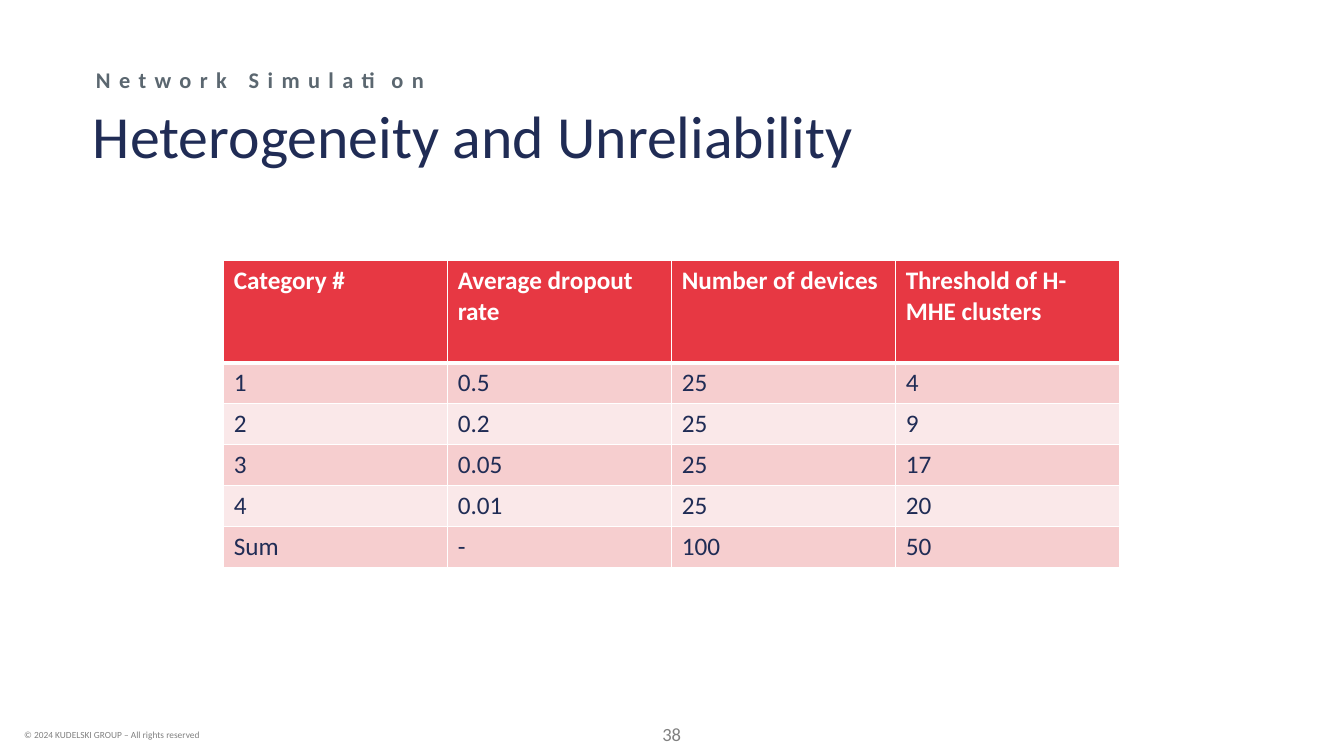
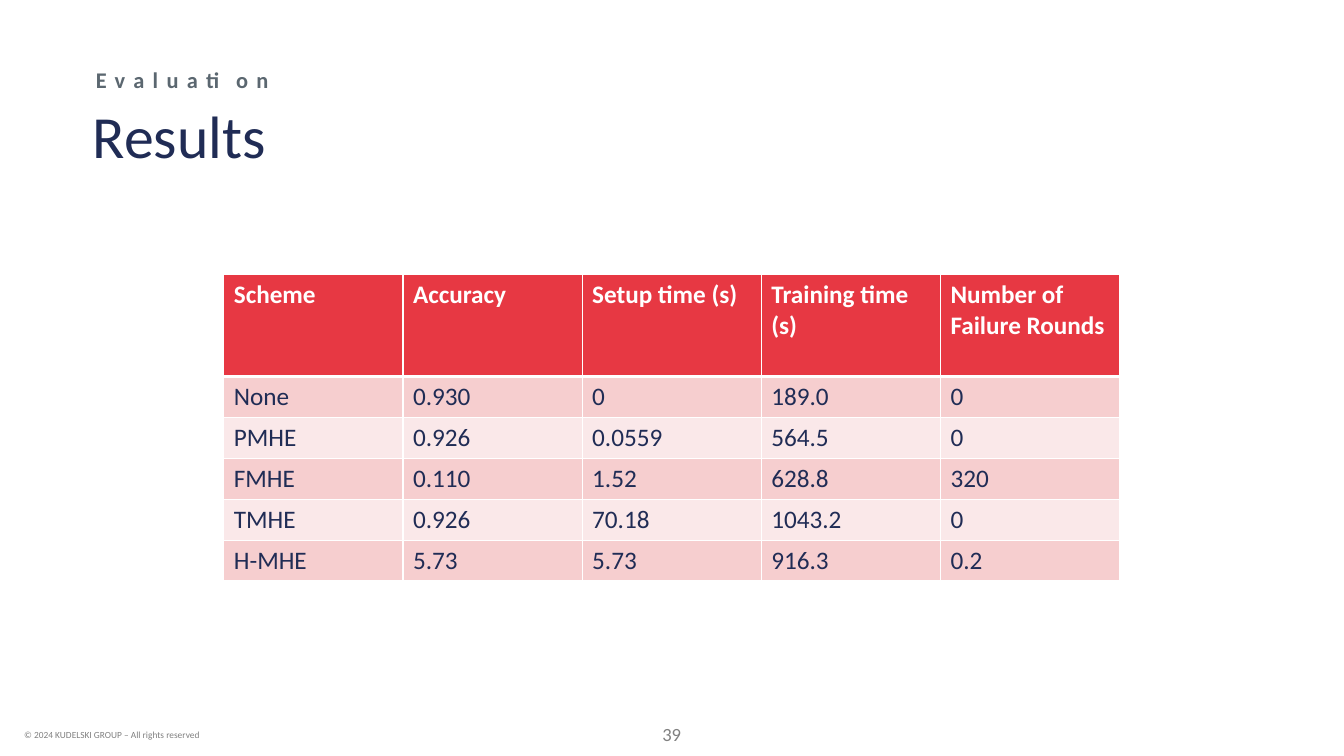
from lxml import etree
from pptx import Presentation
from pptx.dml.color import RGBColor
from pptx.enum import text
from pptx.oxml import ns
from pptx.util import Cm, Pt

# Shared style
FONT = "Calibri"
NAVY = RGBColor(0x20, 0x2C, 0x55)
SLATE = RGBColor(0x5B, 0x67, 0x70)
GREY = RGBColor(0x80, 0x80, 0x80)
WHITE = RGBColor(0xFF, 0xFF, 0xFF)
RED = RGBColor(0xE7, 0x38, 0x43)
BANDS = (RGBColor(0xF6, 0xCE, 0xCF), RGBColor(0xFA, 0xE8, 0xE9))

# Table layout
TABLE_LEFT, TABLE_WIDTH = Cm(5.64), Cm(22.58)
HEADER_HEIGHT, ROW_HEIGHT = Cm(2.57), Cm(1.03)
THIN, THICK = Pt(1), Pt(3)

FIRST_PAGE = 38
COPYRIGHT = "© 2024 KUDELSKI GROUP – All rights reserved"

# Section, title, table top in cm, table rows
PAGES = [
    ("Network Simulation", "Heterogeneity and Unreliability", 6.57, [
        ("Category #", "Average dropout rate", "Number of devices",
         "Threshold of H-MHE clusters"),
        ("1", "0.5", "25", "4"),
        ("2", "0.2", "25", "9"),
        ("3", "0.05", "25", "17"),
        ("4", "0.01", "25", "20"),
        ("Sum", "-", "100", "50"),
    ]),
    ("Evaluation", "Results", 6.92, [
        ("Scheme", "Accuracy", "Setup time (s)", "Training time (s)",
         "Number of Failure Rounds"),
        ("None", "0.930", "0", "189.0", "0"),
        ("PMHE", "0.926", "0.0559", "564.5", "0"),
        ("FMHE", "0.110", "1.52", "628.8", "320"),
        ("TMHE", "0.926", "70.18", "1043.2", "0"),
        ("H-MHE", "5.73", "5.73", "916.3", "0.2"),
    ]),
]


def add_span(para, wording, size, color, bold=False):
    span = para.add_run()
    span.text = wording
    span.font.name = FONT
    span.font.size = Pt(size)
    span.font.bold = bold
    span.font.color.rgb = color
    return span


def add_text(page, place, wording, size, color, bold=False, inset=True):
    """Add a one-paragraph text box; place is left, top, width, height in cm."""
    box = page.shapes.add_textbox(*map(Cm, place))
    frame = box.text_frame
    frame.word_wrap = True
    if not inset:
        frame.margin_left = frame.margin_right = 0
        frame.margin_top = frame.margin_bottom = 0
    para = frame.paragraphs[0]
    return frame, para, add_span(para, wording, size, color, bold)


def add_heading(page, section, title):
    _, para, _ = add_text(page, (2.34, 2.69, 29.21, 1.83), title,
                          42.7, NAVY, inset=False)
    para.line_spacing = 0.9

    _, para, span = add_text(page, (2.29, 1.75, 29.24, 0.64), section,
                             16, SLATE, bold=True, inset=False)
    para.line_spacing = 0.9
    para._p.get_or_add_pPr().set("marL", str(Cm(0.13)))
    span.font._element.set("spc", "600")


def add_footer(page, number):
    add_text(page, (0.36, 18.26, 8.41, 0.53), COPYRIGHT, 6.7, GREY)
    frame, para, _ = add_text(page, (15.9, 18.21, 2.06, 0.56), str(number),
                              13.3, GREY, inset=False)
    frame.vertical_anchor = text.MSO_ANCHOR.MIDDLE
    para.alignment = text.PP_ALIGN.CENTER


def set_borders(cell, top, bottom):
    """Draw white cell borders; call before setting the fill."""
    props = cell._tc.get_or_add_tcPr()
    widths = {"a:lnL": THIN, "a:lnR": THIN, "a:lnT": top, "a:lnB": bottom}
    for tag, width in widths.items():
        line = etree.SubElement(props, ns.qn(tag), w=str(width))
        fill = etree.SubElement(line, ns.qn("a:solidFill"))
        etree.SubElement(fill, ns.qn("a:srgbClr"), val=str(WHITE))


def add_banded_table(page, top, rows):
    columns = len(rows[0])
    height = HEADER_HEIGHT + ROW_HEIGHT * (len(rows) - 1)
    table = page.shapes.add_table(len(rows), columns, TABLE_LEFT, Cm(top),
                                  TABLE_WIDTH, height).table
    for column in table.columns:
        column.width = TABLE_WIDTH // columns

    for r, values in enumerate(rows):
        header = r == 0
        table.rows[r].height = HEADER_HEIGHT if header else ROW_HEIGHT
        for c, value in enumerate(values):
            cell = table.cell(r, c)
            set_borders(cell, top=THICK if r == 1 else THIN,
                        bottom=THICK if header else THIN)
            cell.fill.solid()
            cell.fill.fore_color.rgb = RED if header else BANDS[(r - 1) % 2]
            add_span(cell.text_frame.paragraphs[0], value, 18,
                     WHITE if header else NAVY, bold=header)


def main():
    deck = Presentation()
    deck.slide_width, deck.slide_height = Cm(33.87), Cm(19.05)
    blank = deck.slide_layouts[6]
    for number, (section, title, top, rows) in enumerate(PAGES, FIRST_PAGE):
        page = deck.slides.add_slide(blank)
        add_footer(page, number)
        add_heading(page, section, title)
        add_banded_table(page, top, rows)
    deck.save("out.pptx")


if __name__ == "__main__":
    main()
